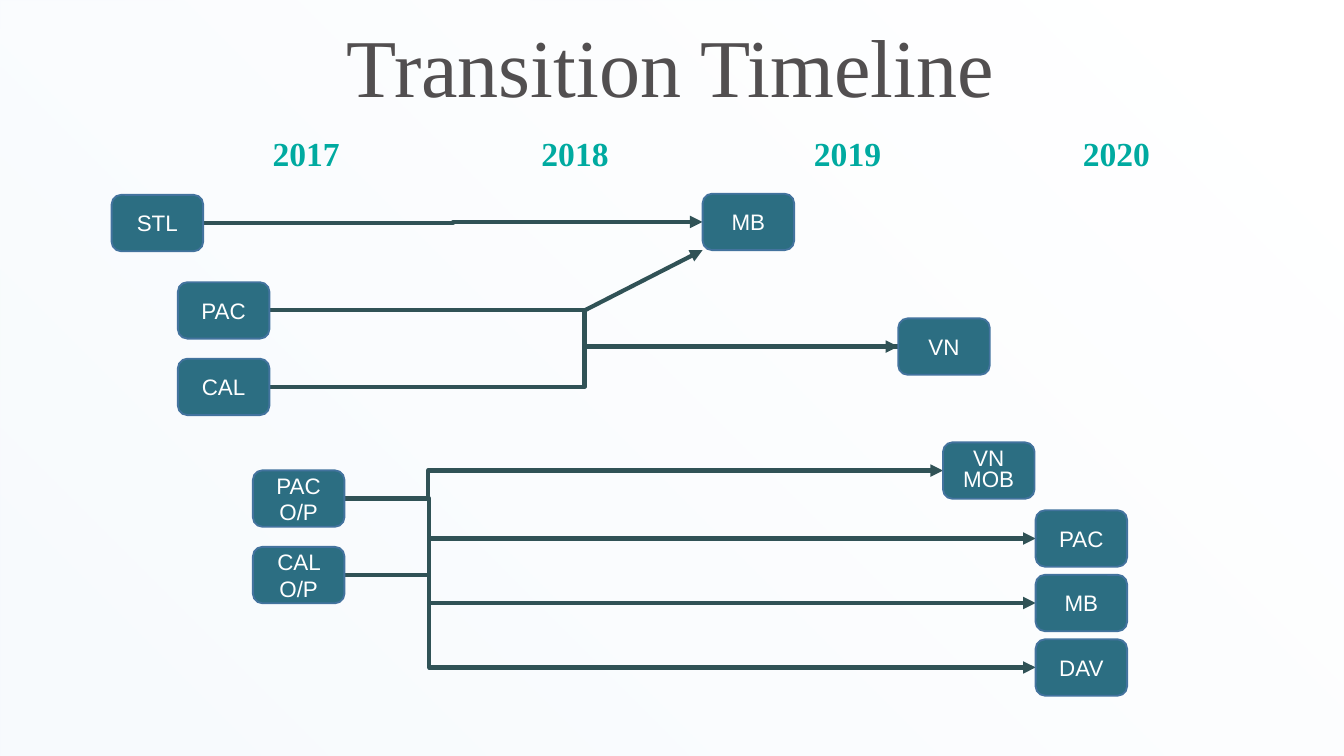
from dataclasses import dataclass

from pptx import Presentation
from pptx.dml.color import RGBColor
from pptx.enum.shapes import MSO_CONNECTOR, MSO_SHAPE
from pptx.enum.text import MSO_ANCHOR, PP_ALIGN
from pptx.oxml.ns import qn
from pptx.util import Pt
from lxml.etree import SubElement


@dataclass(frozen=True)
class Theme:
    fade: str = "F7FAFD"
    white: str = "FFFFFF"
    title: str = "524F50"
    year: str = "00AAA0"
    box: str = "2C6E82"
    edge: str = "43739E"
    line: str = "305256"
    serif: str = "Times New Roman"
    sans: str = "Arial"
    head_size: float = 44
    year_size: float = 18
    box_size: float = 12


THEME = Theme()
WIDE, HIGH = 720, 405
BOX_W, BOX_H = 49, 30.2
ROW, GAP = 41, 34.55  # pitch of source pairs and of the last column

# Left and top of each box, with its label
BOXES = {
    "stl": (59.8, 104.4, "STL"),
    "mb": (376.4, 103.8, "MB"),
    "pac": (95.3, 151.2, "PAC"),
    "cal": (95.3, 151.2 + ROW, "CAL"),
    "vn": (481.2, 170.6, "VN"),
    "pac_op": (135.5, 252, "PAC O/P"),
    "cal_op": (135.5, 252 + ROW, "CAL O/P"),
    "vn_mob": (505.2, 237, "VN\vMOB"),
    "pac_end": (554.8, 273.4, "PAC"),
    "mb_end": (554.8, 273.4 + GAP, "MB"),
    "dav_end": (554.8, 273.4 + 2 * GAP, "DAV"),
}
MERGE, SPLIT = 313.2, 230  # x of the two vertical runs

# Source, target, x of the bend, arrow, start x if not the box edge
LINKS = [
    ("pac", "vn", MERGE, False, None),
    ("cal_op", "pac_end", SPLIT, True, None),
    ("pac_op", "mb_end", SPLIT, True, 216),
    ("pac_op", "vn_mob", 229.3, True, None),
    ("cal", "vn", MERGE, True, None),
    ("stl", "mb", 243, True, None),
    ("cal_op", "dav_end", SPLIT, True, None),
]
YEARS = {"2017": 139, "2018": 283, "2019": 429, "2020": 573}


def rgb(code):
    return RGBColor.from_string(code)


def write(shape, text, *, font, size, color, bold=False,
          align=PP_ALIGN.CENTER, anchor=MSO_ANCHOR.MIDDLE, space=None):
    frame = shape.text_frame
    frame.word_wrap = True
    frame.vertical_anchor = anchor
    frame.text = text
    para = frame.paragraphs[0]
    para.alignment = align
    para.line_spacing = space
    for run in para.runs:
        run.font.name = font
        run.font.size = Pt(size)
        run.font.bold = bold
        run.font.color.rgb = rgb(color)


def label(slide, text, left, top, width, height, **form):
    shape = slide.shapes.add_textbox(Pt(left), Pt(top), Pt(width), Pt(height))
    write(shape, text, **form)


def shade(slide):
    back = slide.shapes.add_shape(MSO_SHAPE.RECTANGLE, 0, 0, Pt(WIDE), Pt(HIGH))
    back.shadow.inherit = False
    back.line.fill.background()
    back.fill.gradient()
    back.fill.gradient_angle = 45
    stops = back.fill.gradient_stops
    for stop, place, code in zip(stops, (0.07, 0.93), (THEME.fade, THEME.white)):
        stop.position = place
        stop.color.rgb = rgb(code)
    last = back._element.spPr.findall(".//" + qn("a:srgbClr"))[-1]
    SubElement(last, qn("a:alpha"), val="86000")


def node(slide, left, top, text):
    box = slide.shapes.add_shape(MSO_SHAPE.ROUNDED_RECTANGLE,
                                 Pt(left), Pt(top), Pt(BOX_W), Pt(BOX_H))
    box.shadow.inherit = False
    box.fill.solid()
    box.fill.fore_color.rgb = rgb(THEME.box)
    box.line.color.rgb = rgb(THEME.edge)
    box.line.width = Pt(1)
    write(box, text, font=THEME.sans, size=THEME.box_size, color=THEME.white,
          space=0.8 if "\v" in text else None)


def wire(slide, start, end, bend=None, arrow=True):
    kind = MSO_CONNECTOR.STRAIGHT if bend is None else MSO_CONNECTOR.ELBOW
    line = slide.shapes.add_connector(kind, *map(Pt, start + end))
    line.line.color.rgb = rgb(THEME.line)
    line.line.width = Pt(2.25)
    props = line._element.spPr
    if bend is not None:
        share = round((bend - start[0]) / (end[0] - start[0]) * 100000)
        guides = props.find(qn("a:prstGeom")).get_or_add_avLst()
        SubElement(guides, qn("a:gd"), name="adj1", fmla=f"val {share}")
    if arrow:
        SubElement(props.find(qn("a:ln")), qn("a:tailEnd"), type="triangle")
    SubElement(props, qn("a:effectLst"))


def link(slide, source, target, bend, arrow, start):
    left, top, _ = BOXES[source]
    end, level, _ = BOXES[target]
    wire(slide, (start or left + BOX_W, top + BOX_H / 2),
         (end, level + BOX_H / 2), bend, arrow)


def main():
    deck = Presentation()
    deck.slide_width, deck.slide_height = Pt(WIDE), Pt(HIGH)
    slide = deck.slides.add_slide(deck.slide_layouts[6])
    shade(slide)

    # Heading and years
    label(slide, "Transition Timeline", 49, 0.7, 620.6, 64.8, font=THEME.serif,
          size=THEME.head_size, color=THEME.title,
          anchor=MSO_ANCHOR.BOTTOM, space=0.9)
    for year, left in YEARS.items():
        label(slide, year, left, 67.7, 91.4, 28.8, font=THEME.serif,
              size=THEME.year_size, color=THEME.year, bold=True,
              align=PP_ALIGN.LEFT, anchor=MSO_ANCHOR.TOP)

    # Routes below the boxes
    for route in LINKS:
        link(slide, *route)
    left, top, _ = BOXES["mb"]
    wire(slide, (MERGE, BOXES["pac"][1] + BOX_H / 2), (left, top + BOX_H))

    # Boxes
    for spot in BOXES.values():
        node(slide, *spot)

    deck.save("out.pptx")


if __name__ == "__main__":
    main()
